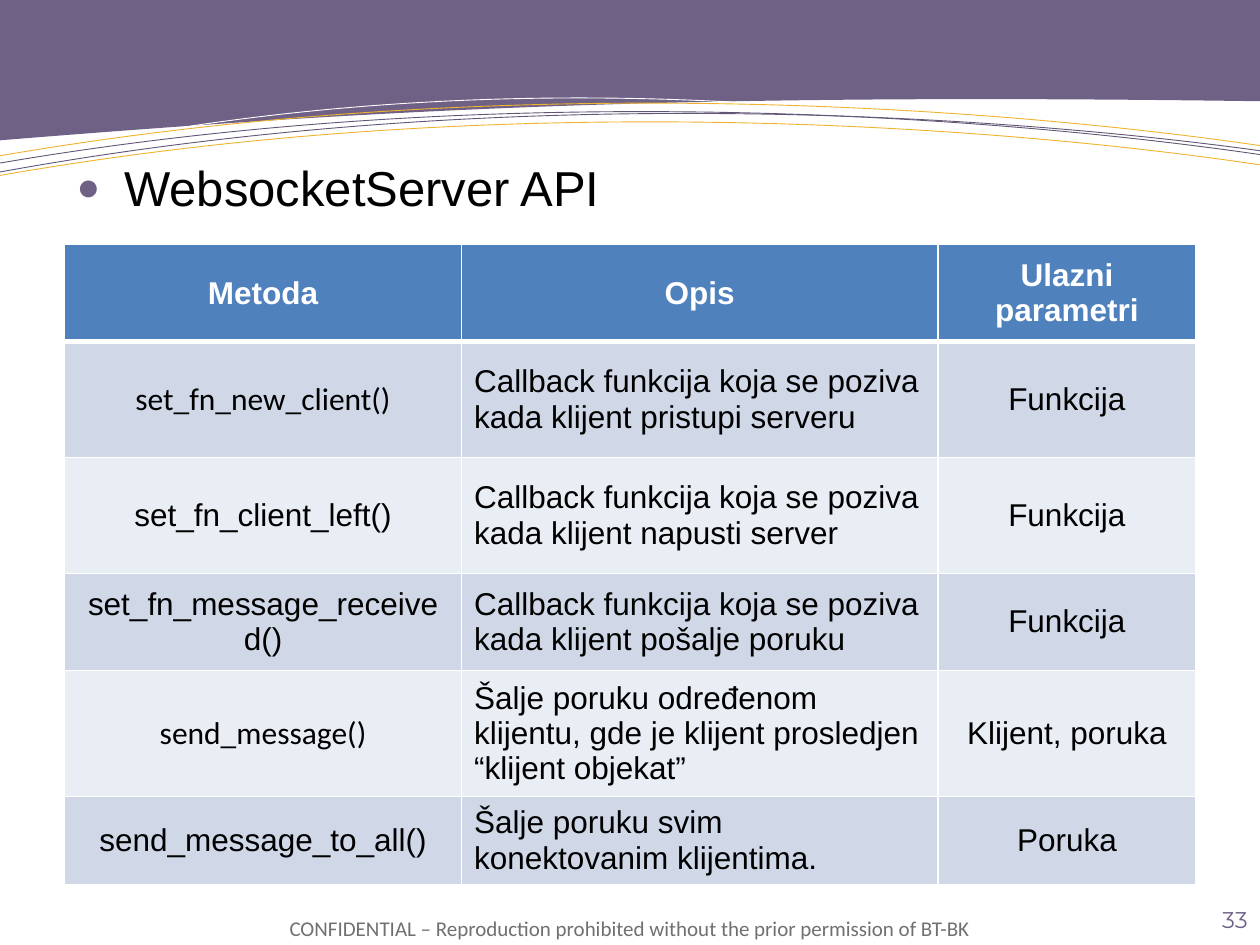
import math
import pptx
import pptx.util
import pptx.dml.color
import pptx.enum.text
import pptx.oxml
import pptx.oxml.ns
import lxml.etree

Pt = pptx.util.Pt
RGB = pptx.dml.color.RGBColor
ALIGN = pptx.enum.text.PP_ALIGN
MID = pptx.enum.text.MSO_ANCHOR.MIDDLE
qn = pptx.oxml.ns.qn

WHITE = RGB(0xFF, 0xFF, 0xFF)
BLACK = RGB(0, 0, 0)
PLUM = RGB(0x6F, 0x61, 0x85)
DUSK = RGB(0x62, 0x56, 0x76)
GOLD = RGB(0xEF, 0xB3, 0x2F)
GREY = RGB(0x72, 0x70, 0x6F)
BLUE = RGB(0x4F, 0x81, 0xBD)
BANDS = RGB(0xD0, 0xD8, 0xE8), RGB(0xE9, 0xED, 0xF4)


def turn(points, mid, angle):
    sin, cos = math.sin(math.radians(angle)), math.cos(math.radians(angle))
    x, y = mid
    return [(x + (p - x) * cos - (q - y) * sin,
             y + (p - x) * sin + (q - y) * cos) for p, q in points]


class Deck:
    COLS = 100
    FACE = "Arial"

    def __init__(self):
        self.file = pptx.Presentation()
        self.file.slide_width = pptx.util.Inches(10)
        self.file.slide_height = pptx.util.Inches(7.5)
        self.unit = self.file.slide_width / self.COLS
        self.slide = self.file.slides.add_slide(self.file.slide_layouts[6])

    def size(self, *counts):
        return [round(n * self.unit) for n in counts]

    def run(self, para, text, size, color, face=None, bold=False):
        run = para.add_run()
        run.text = text
        font = run.font
        font.size, font.name, font.bold = Pt(size), face or self.FACE, bold
        font.color.rgb = color

    def text(self, box, text, size, color, face=None, align=ALIGN.LEFT, pad=0.5):
        frame = self.slide.shapes.add_textbox(*self.size(*box)).text_frame
        frame.word_wrap = True
        frame.margin_top, frame.margin_bottom = self.size(pad, pad)
        para = frame.paragraphs[0]
        para.alignment = align
        self.run(para, text, size, color, face)
        return para

    def bullet(self, box, text, size, color, mark):
        para = self.text(box, text, size, color)
        para.space_before = Pt(size * 0.2)
        props = para._p.get_or_add_pPr()
        hang = self.size(3.8)[0]
        props.set("marL", str(hang))
        props.set("indent", str(-hang))
        space = pptx.oxml.ns.nsdecls("a")
        for part in (f'<a:buClr {space}><a:srgbClr val="{mark}"/></a:buClr>',
                     f'<a:buSzPct {space} val="80000"/>',
                     f'<a:buFont {space} typeface="Arial"/>',
                     f'<a:buChar {space} char="●"/>'):
            props.append(pptx.oxml.parse_xml(part))

    def group(self):
        return self.slide.shapes.add_group_shape().shapes

    def curve(self, home, points, color, width, fill=None):
        spots = [tuple(self.size(*p)) for p in points]
        pen = home.build_freeform(*spots[0], scale=1.0)
        pen.add_line_segments(spots[1:], close=fill is not None)
        shape = pen.convert_to_shape()
        lines = list(shape._element.iter(qn("a:lnTo")))[-3:]
        arc = lxml.etree.Element(qn("a:cubicBezTo"))
        lines[0].addprevious(arc)
        for line in lines:
            arc.append(line[0])
            line.getparent().remove(line)
        shape.shadow.inherit = False
        shape.line.color.rgb, shape.line.width = color, Pt(width)
        if fill is None:
            shape.fill.background()
        else:
            shape.fill.solid()
            shape.fill.fore_color.rgb = fill
        return shape

    def edge(self, cell, head):
        props = cell._tc.get_or_add_tcPr()
        for side in "LRTB":
            width = 3 if head and side == "B" else 1
            line = lxml.etree.SubElement(
                props, qn("a:ln" + side), w=str(Pt(width)))
            fill = lxml.etree.SubElement(line, qn("a:solidFill"))
            lxml.etree.SubElement(fill, qn("a:srgbClr"), val=str(WHITE))

    def table(self, spot, cols, rows, data, faces, wide):
        grid = self.slide.shapes.add_table(
            len(rows), len(cols), *self.size(*spot, sum(cols), sum(rows))).table
        grid.horz_banding = False
        for col, width in zip(grid.columns, self.size(*cols)):
            col.width = width
        for row, height in zip(grid.rows, self.size(*rows)):
            row.height = height
        for r, line in enumerate(data):
            head = r == 0
            for c, text in enumerate(line):
                cell = grid.cell(r, c)
                self.edge(cell, head)
                cell.fill.solid()
                cell.fill.fore_color.rgb = BLUE if head else BANDS[(r - 1) % 2]
                cell.vertical_anchor = MID
                if (r, c) in wide:
                    cell.margin_left, cell.margin_right = self.size(1.4, 1.4)
                    cell.margin_top, cell.margin_bottom = self.size(0.6, 0.6)
                para = cell.text_frame.paragraphs[0]
                left = c == 1 and not head
                para.alignment = ALIGN.LEFT if left else ALIGN.CENTER
                self.run(para, text, 18, WHITE if head else BLACK,
                         faces.get((r, c)), head)


deck = Deck()

CREST = [(0, 0), (100, 0), (100, 7.9), (57, 7.3), (33.1, 8.3), (0, 11)]
deck.curve(deck.slide.shapes, CREST, PLUM, 2, PLUM)

TILT = 5.4
WAVES = [
    (WHITE, (39.65, 10.9), (-0.3, 13), (35, 4.5), (68.1, 8.5), (79.4, 10.3)),
    (GOLD, (50.2, 11.25), (-0.2, 12.4), (44.2, 4.7), (86.1, 9.5), (100.3, 11.6)),
    (DUSK, (50, 11.9), (-0.3, 13), (43.9, 5.4), (85.8, 10.2), (100.2, 12.3)),
    (GOLD, (49.9, 12.85), (-0.4, 14), (43.7, 6.2), (85.4, 10.9), (100.1, 13.1)),
    (DUSK, (50.1, 12.35), (-0.3, 13.7), (43.9, 5.6), (86, 10), (100.3, 12)),
]
waves = deck.group()
for color, mid, *knots in WAVES:
    deck.curve(waves, turn(knots, mid, -TILT), color, 0.5).rotation = TILT

deck.text((20.3, 72.7, 59.4, 2.3),
          "CONFIDENTIAL – Reproduction prohibited without the prior "
          "permission of BT-BK", 12, GREY, "Calibri", ALIGN.CENTER, 0)
deck.text((88.3, 71.4, 11.7, 3.3), "33", 13, PLUM, "Montserrat", ALIGN.RIGHT)

CALL = "Callback funkcija koja se poziva kada klijent "
DATA = [
    ("Metoda", "Opis", "Ulazni parametri"),
    ("set_fn_new_client()", CALL + "pristupi serveru", "Funkcija"),
    ("set_fn_client_left()", CALL + "napusti server", "Funkcija"),
    ("set_fn_message_received()", CALL + "pošalje poruku", "Funkcija"),
    ("send_message()",
     "Šalje poruku određenom klijentu, gde je klijent prosledjen "
     "“klijent objekat”", "Klijent, poruka"),
    ("send_message_to_all()", "Šalje poruku svim konektovanim klijentima.",
     "Poruka"),
]
deck.table((5.13, 19.42), (31.5, 37.8, 20.5), (7.7, 9.2, 9.2, 7.7, 9.45, 6.6),
           DATA, {(1, 0): "Calibri", (4, 0): "Calibri"},
           {(2, 0), (3, 0), (5, 0)})
deck.bullet((5.1, 12, 90, 5.8), "WebsocketServer API", 28, BLACK, PLUM)

deck.file.save("out.pptx")
